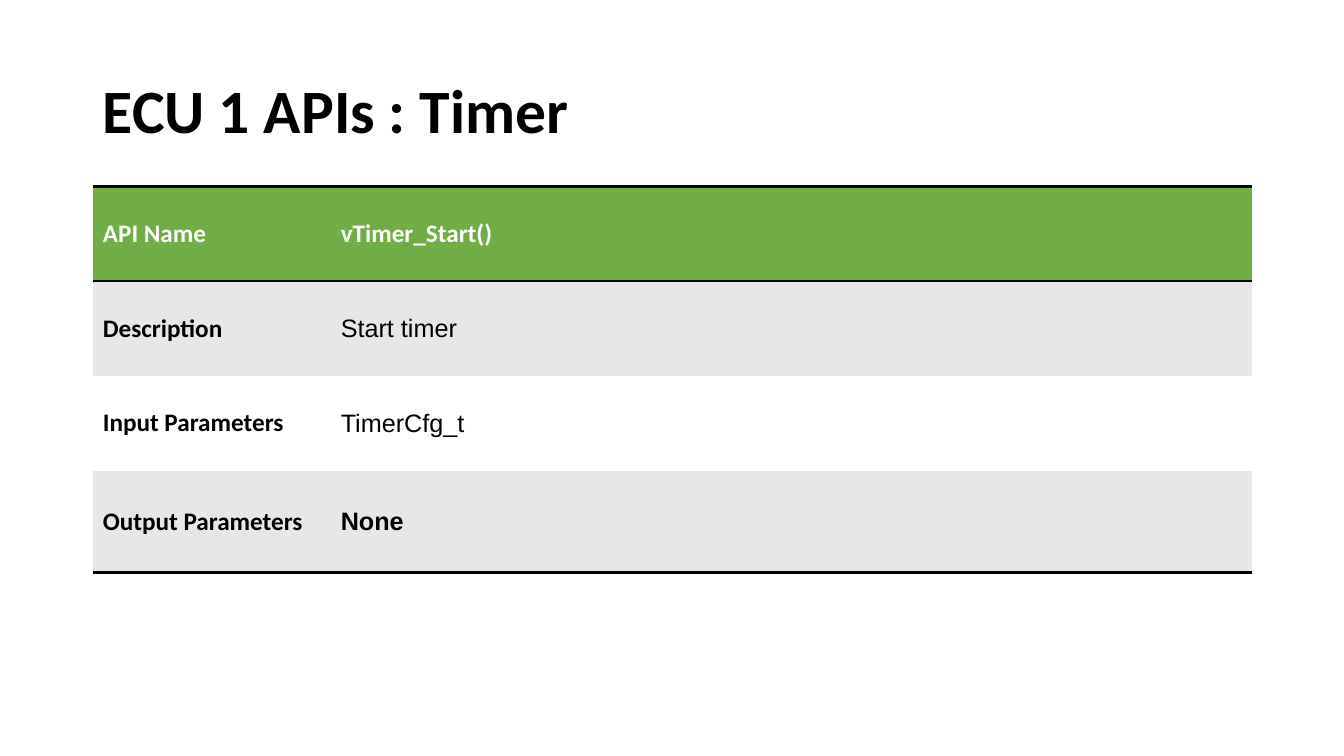
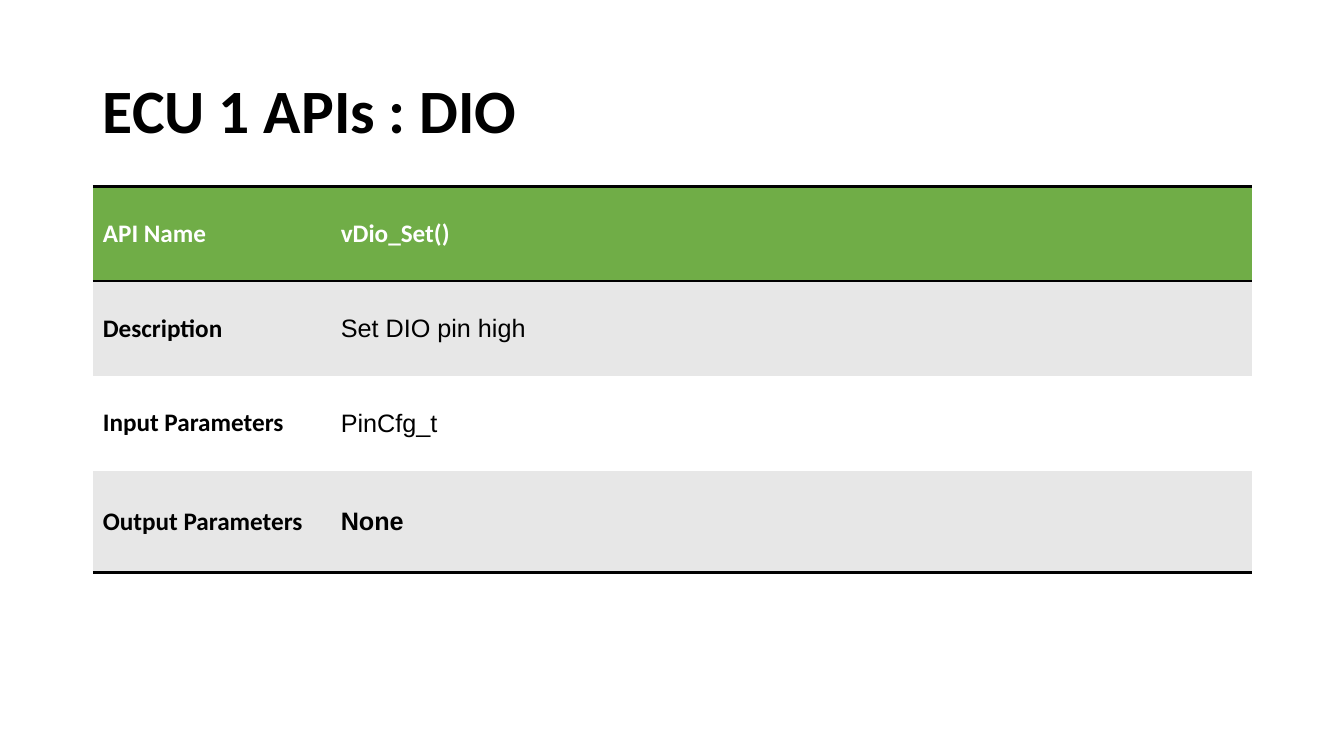
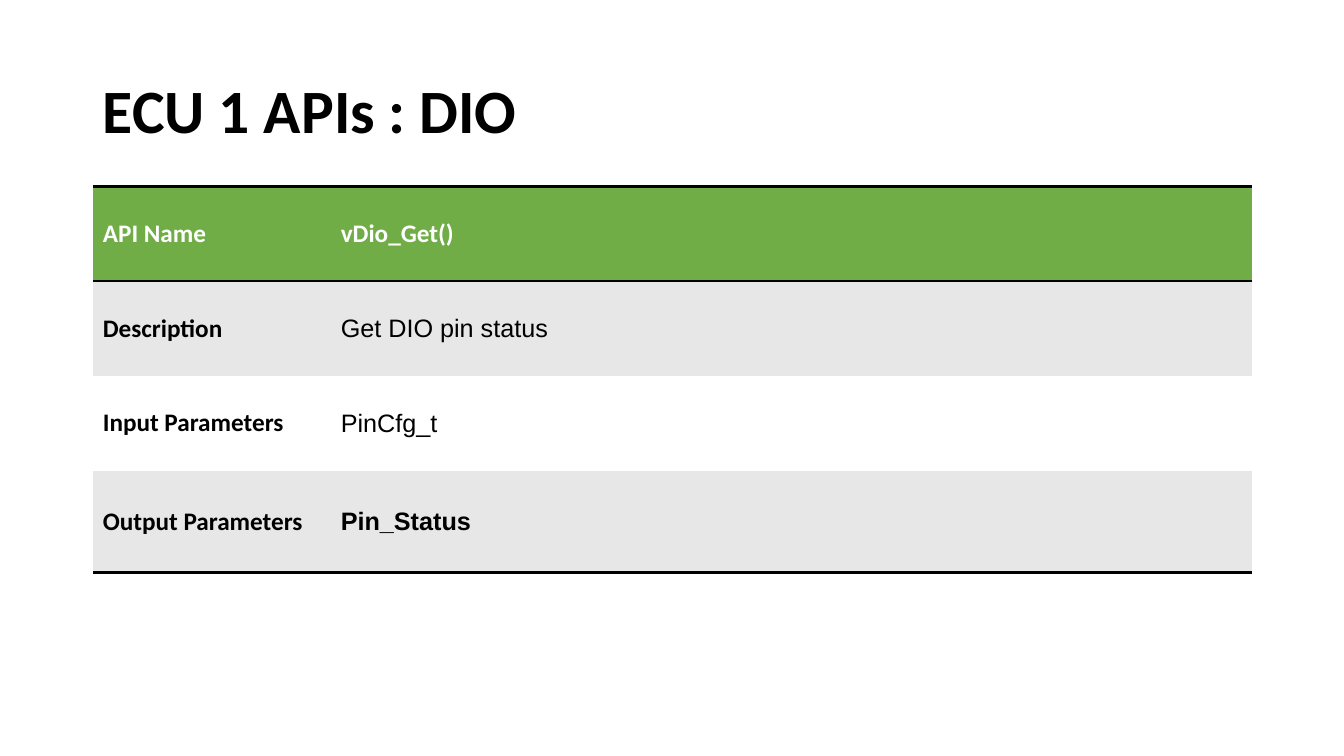
from lxml import etree
from pptx import Presentation
from pptx.dml.color import RGBColor
from pptx.enum import text
from pptx.oxml import ns
from pptx.util import Inches, Pt

COLORS = {
    "text": "000000",
    "rule": "000000",
    "header": "70AD47",
    "header_text": "FFFFFF",
    "band": "E7E7E7",
    "plain": "FFFFFF",
}
HEADING_FONT = "Calibri"
VALUE_FONT = "Arial"
NO_STYLE = "{2D5ABB26-0587-4C30-8999-92F81FD0307C}"

TITLE_BOX = (0.92, 0.4, 11.5, 1.45)
TABLE_BOX = (0.92, 1.85, 11.5, 3.83)
LABEL_WIDTH = 2.36
ROW_HEIGHT = 0.94
LABELS = ("API Name", "Description", "Input Parameters", "Output Parameters")

APIS = [
    ("ECU 1 APIs : Timer", ("vTimer_Start()", "Start timer", "TimerCfg_t", "None")),
    ("ECU 1 APIs : DIO", ("vDio_Set()", "Set DIO pin high", "PinCfg_t", "None")),
    ("ECU 1 APIs : DIO", ("vDio_Get()", "Get DIO pin status", "PinCfg_t", "Pin_Status")),
]


def color(name):
    return RGBColor.from_string(COLORS[name])


def set_font(paragraph, name, size, bold, color_name):
    font = paragraph.font
    font.name, font.size, font.bold = name, Pt(size), bold
    font.color.rgb = color(color_name)


def add_title(slide, box, title):
    shape = slide.shapes.title
    shape.left, shape.top, shape.width, shape.height = map(Inches, box)
    frame = shape.text_frame
    frame.text = title
    frame.vertical_anchor = text.MSO_ANCHOR.MIDDLE
    paragraph = frame.paragraphs[0]
    paragraph.alignment = text.PP_ALIGN.LEFT
    paragraph.line_spacing = 0.9
    set_font(paragraph, HEADING_FONT, 44, True, "text")


def add_rule(cell, edge):
    """Draw a cell border; edge is lnT or lnB, added in that order before the fill."""
    properties = cell._tc.get_or_add_tcPr()
    line = etree.SubElement(properties, ns.qn(f"a:{edge}"), w=str(Pt(2)))
    fill = etree.SubElement(line, ns.qn("a:solidFill"))
    etree.SubElement(fill, ns.qn("a:srgbClr"), val=COLORS["rule"])


def format_cell(cell, content, row, column, last_row):
    is_header, is_last = row == 0, row == last_row
    if is_header:
        add_rule(cell, "lnT")
    if is_header or is_last:
        add_rule(cell, "lnB")
    cell.fill.solid()
    cell.fill.fore_color.rgb = color("header" if is_header else "band" if row % 2 else "plain")
    cell.vertical_anchor = text.MSO_ANCHOR.MIDDLE
    cell.text = content
    is_value = column == 1 and not is_header
    set_font(
        cell.text_frame.paragraphs[0],
        VALUE_FONT if is_value else HEADING_FONT,
        18,
        not is_value or is_last,
        "header_text" if is_header else "text",
    )


def add_api_table(slide, box, values):
    last_row = len(LABELS) - 1
    table = slide.shapes.add_table(len(LABELS), 2, *map(Inches, box)).table
    table.first_row = table.horz_banding = False
    table._tbl.tblPr.find(ns.qn("a:tableStyleId")).text = NO_STYLE
    width, height = box[2:]
    table.columns[0].width = Inches(LABEL_WIDTH)
    table.columns[1].width = Inches(width - LABEL_WIDTH)
    for row, contents in enumerate(zip(LABELS, values)):
        is_last = row == last_row
        table.rows[row].height = Inches(height - last_row * ROW_HEIGHT if is_last else ROW_HEIGHT)
        for column, content in enumerate(contents):
            format_cell(table.cell(row, column), content, row, column, last_row)


def add_api_slide(presentation, title, values):
    slide = presentation.slides.add_slide(presentation.slide_layouts.get_by_name("Title Only"))
    add_title(slide, TITLE_BOX, title)
    add_api_table(slide, TABLE_BOX, values)


def main():
    presentation = Presentation()
    presentation.slide_width = Inches(13.33)
    presentation.slide_height = Inches(7.5)
    for title, values in APIS:
        add_api_slide(presentation, title, values)
    presentation.save("out.pptx")


if __name__ == "__main__":
    main()
